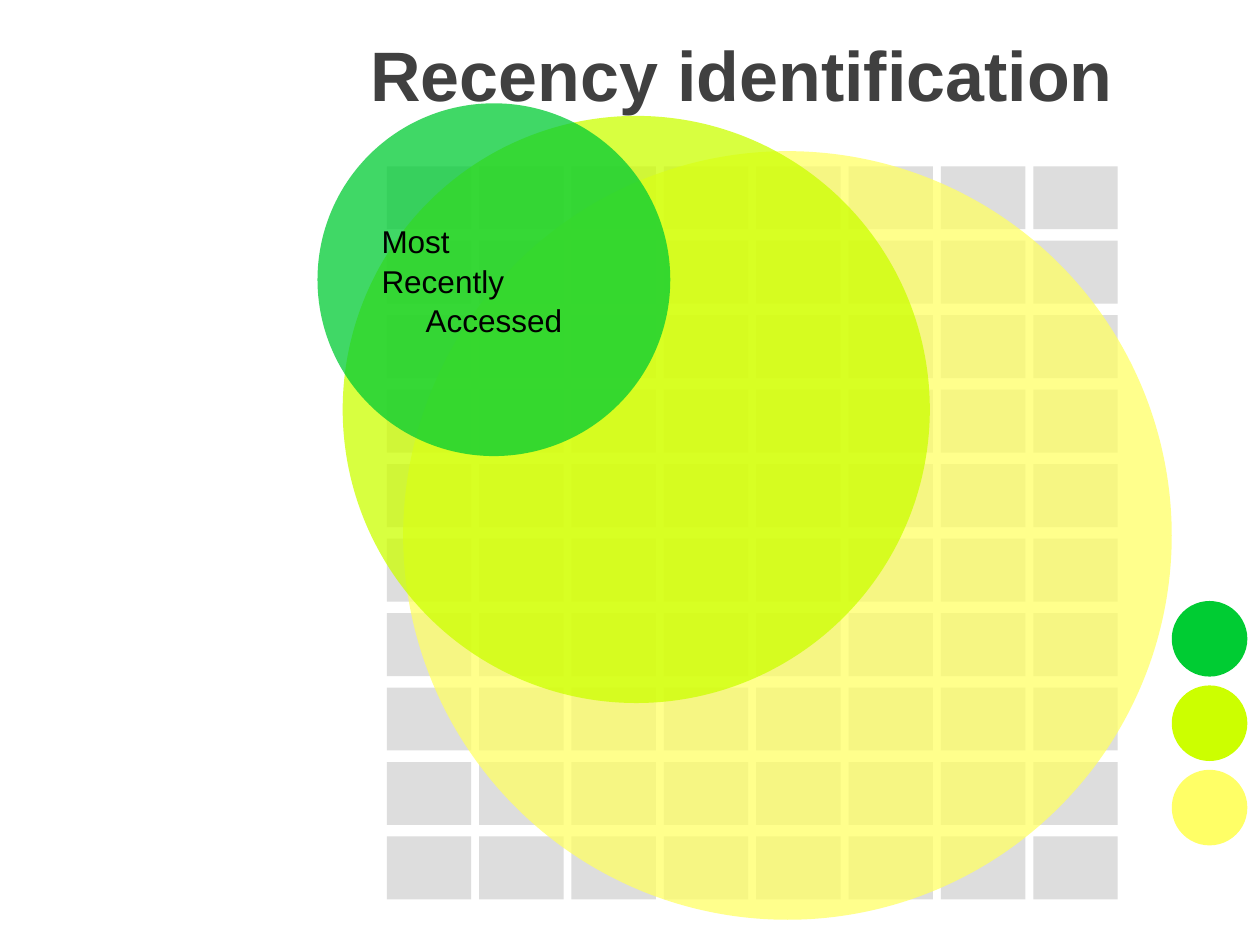
from pptx import Presentation
from pptx.dml.color import RGBColor
from pptx.enum.shapes import MSO_SHAPE
from pptx.enum.text import MSO_ANCHOR, PP_ALIGN
from pptx.oxml.ns import qn
from pptx.util import Inches, Pt
from lxml import etree

RECT, OVAL = MSO_SHAPE.RECTANGLE, MSO_SHAPE.OVAL
MIDDLE = MSO_ANCHOR.MIDDLE
LEFT, CENTER = PP_ALIGN.LEFT, PP_ALIGN.CENTER
GREEN, LIME, YELLOW, GRAY = "00CC33", "CCFF00", "FFFF66", "DDDDDD"


def paint(fill, color, alpha=100):
    """Fill with a solid colour at an opacity in percent."""
    fill.solid()
    fill.fore_color.rgb = RGBColor.from_string(color)
    if alpha < 100:
        tag = fill._xPr.find(".//" + qn("a:srgbClr"))
        etree.SubElement(tag, qn("a:alpha")).set("val", str(alpha * 1000))


def add_form(slide, kind, box, color, alpha=100):
    """Add a flat preset shape without a line."""
    form = slide.shapes.add_shape(kind, *map(Inches, box))
    form.shadow.inherit = False
    form.line.fill.background()
    paint(form.fill, color, alpha)
    return form


def write(frame, lines, size, color, bold=False, space=1.0):
    """Write one paragraph for each pair of text and alignment."""
    frame.word_wrap = True
    frame.vertical_anchor = MIDDLE
    frame.margin_left = frame.margin_right = Inches(0.1)
    frame.margin_top = frame.margin_bottom = Inches(0.05)
    for i, (text, align) in enumerate(lines):
        para = frame.add_paragraph() if i else frame.paragraphs[0]
        para.alignment = align
        para.line_spacing = space
        run = para.add_run()
        run.text = text
        font = run.font
        font.name, font.size, font.bold = "Arial", Pt(size), bold
        paint(font.fill, color)


def add_title(slide, text):
    """Place and format the title."""
    title = slide.shapes.title
    title.left, title.top = Inches(1.77), Inches(0)
    title.width, title.height = Inches(8.23), Inches(1.17)
    write(title.text_frame, [(text, CENTER)], 40, "404040", True)


def add_grid(slide, rows, cols):
    """Add the grid of gray blocks."""
    for row in range(rows):
        for col in range(cols):
            box = (3.07 + col * 0.733, 1.32 + row * 0.591, 0.67, 0.5)
            add_form(slide, RECT, box, GRAY)


def add_key(slide):
    """Add the column of colour dots."""
    for i, color in enumerate((GREEN, LIME, YELLOW)):
        add_form(slide, OVAL, (9.3, 4.77 + i * 0.67, 0.6, 0.6), color)


def add_rings(slide):
    """Add the overlapping circles and label the smallest."""
    rings = ((3.2, 1.2, 6.1, YELLOW), (2.72, 0.92, 4.66, LIME),
             (2.52, 0.82, 2.8, GREEN))
    for left, top, size, color in rings:
        ring = add_form(slide, OVAL, (left, top, size, size), color, 75)
    lines = [("Most", LEFT), ("Recently", LEFT), ("Accessed", CENTER)]
    write(ring.text_frame, lines, 18, "000000", space=1.05)


def main():
    """Build and save the slide."""
    deck = Presentation()
    deck.slide_width, deck.slide_height = Inches(10), Inches(7.5)
    slide = deck.slides.add_slide(deck.slide_layouts[5])
    add_title(slide, "Recency identification")
    add_grid(slide, 10, 8)
    add_key(slide)
    add_rings(slide)
    deck.save("out.pptx")


main()
